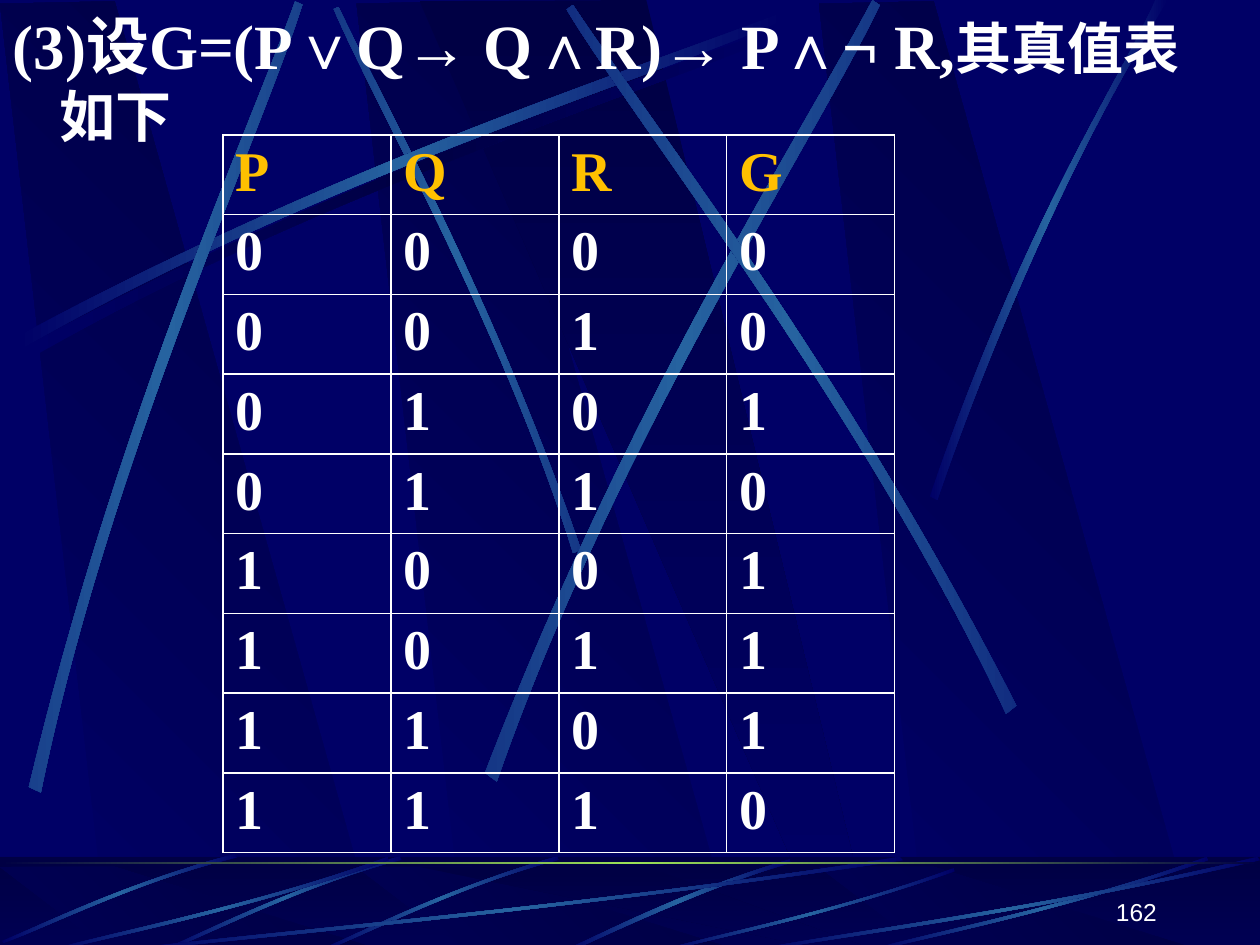
"""Build a slide with the truth table of a propositional formula."""
from copy import deepcopy
from itertools import chain
from lxml.etree import SubElement
from pptx import Presentation
from pptx.dml.color import RGBColor
from pptx.enum.shapes import MSO_SHAPE
from pptx.enum.text import MSO_ANCHOR, MSO_AUTO_SIZE, PP_ALIGN
from pptx.oxml.ns import qn
from pptx.util import Inches, Pt

COLORS = {
    "navy": "000066", "dark": "000044", "blue": "2663A0",
    "green": "9CE157", "gold": "FFC000", "white": "FFFFFF",
}
RGB = {name: RGBColor.from_string(value) for name, value in COLORS.items()}


def paint(shape, names, angle):
    """Give a shape an evenly spaced gradient that does not turn with it."""
    shape.fill.gradient()
    shape.fill.gradient_angle = (360 - angle) % 360
    gradient = shape._element.spPr.find(qn("a:gradFill"))
    gradient.set("rotWithShape", "0")
    stop_list = gradient.find(qn("a:gsLst"))
    for _ in names[2:]:
        stop_list.append(deepcopy(stop_list[-1]))
    for index, (stop, name) in enumerate(zip(shape.fill.gradient_stops, names)):
        stop.position = index / (len(names) - 1)
        stop.color.rgb = RGB[name]


def draw_outline(shapes, segments, box, flips):
    """Fit an outline of lines (one point) and curves (three points) to a box."""
    left, top, width, height = box
    outline = list(chain(*segments))
    right, bottom = (max(point[axis] for point in outline) for axis in (0, 1))
    points = []
    for x, y in outline:
        across = 1 - x / right if "h" in flips else x / right
        down = 1 - y / bottom if "v" in flips else y / bottom
        points.append((Inches(left + across * width), Inches(top + down * height)))
    builder = shapes.build_freeform(*points[0])
    builder.add_line_segments(points[1:], close=True)
    freeform = builder.convert_to_shape()
    geometry = freeform._element.spPr.find(".//" + qn("a:path"))
    lines = iter(geometry.findall(qn("a:lnTo")))
    for segment in segments[1:]:
        parts = [next(lines) for _ in segment]
        if len(parts) == 3:
            curve = geometry.makeelement(qn("a:cubicBezTo"))
            parts[0].addprevious(curve)
            for part in parts:
                curve.append(part[0])
                geometry.remove(part)
    return freeform


OUTLINES = {
    "panel": [[(0.86, 7.5)], [(3.02, 7.52)], [(0.91, 0)], [(0, 0.02)]],
    "wedge": [[(0, 0.01)], [(3.25, 7.51)], [(3.61, 7.51)], [(1.8, 0)]],
    "streak": [[(0, 2.57)], [(2.64, 1.15), (5.04, 0.41), (6.06, 0)], [(6.08, 0.06)],
               [(5.08, 0.51), (2.34, 1.33), (0.03, 2.67)]],
    "ray": [[(0, 3.94)], [(0.76, 1.73), (1.5, 0.66), (1.79, 0)], [(1.89, 0)],
            [(0.98, 1.45), (0.31, 3.22), (0.06, 3.97)]],
    "sliver": [[(1.79, 0)], [(0.89, 0.27), (0.29, 0.6), (0, 0.72)], [(0.05, 0.73)],
               [(0.42, 0.56), (1.23, 0.18), (1.8, 0.03)]],
}
PANEL = (("navy", "dark"), 315)
WEDGE = (("dark", "navy"), 90)
SHADE = (("navy", "dark", "navy"), 0)
GLOW = (("navy", "blue", "navy"), 0)
LIME = (("dark", "green", "dark"), 0)
DECORATIONS = [
    *[("panel", (left, 0.01, 3.02, 7.52), 0, "", PANEL) for left in (2.83, 0, 6.5)],
    ("wedge", (3.33, 0, 3.61, 7.51), 0, "", WEDGE),
    ("streak", (0.2, 0.18, 6.08, 2.67), 0, "", SHADE),
    ("streak", (1.41, 1.35, 4.42, 1.75), 45, "h", GLOW),
    ("streak", (0.14, 0.1, 6.08, 2.67), 0, "", GLOW),
    ("streak", (-1.71, 1.82, 6.08, 2.67), 311.7, "", GLOW),
    ("streak", (2.31, 1.6, 6.24, 3.01), 321.6, "", GLOW),
    ("streak", (3.23, 1.52, 6.08, 2.67), 34.7, "h", GLOW),
    ("ray", (7.38, 0, 1.89, 3.97), 0, "", GLOW),
    ("bar", (0, 6.8, 10, 0.75), 0, "", WEDGE),
    *[("panel", (left, 6.88, 3.02, 0.66), 0, "", PANEL) for left in (2.83, 0, 6.5)],
    ("wedge", (3.33, 6.88, 3.61, 0.66), 0, "", WEDGE),
    ("bar", (0, 6.8, 10, 0.75), 0, "", None),
    ("sliver", (4.48, 6.82, 1.8, 0.73), 0, "", GLOW),
    ("streak", (2.58, 6.76, 1.84, 0.83), 315, "h", GLOW),
    ("streak", (1.33, 6.76, 1.84, 0.83), 315, "h", GLOW),
    ("streak", (0.05, 6.71, 1.8, 0.85), 315, "h", GLOW),
    ("streak", (1, 6.8, 6.17, 0.75), 0, "hv", GLOW),
    ("streak", (0.42, 6.8, 2.67, 0.75), 0, "hv", GLOW),
    ("streak", (5.27, 6.89, 2.31, 0.66), 0, "hv", GLOW),
    ("streak", (6.92, 6.8, 2.67, 0.75), 0, "hv", GLOW),
    ("streak", (6, 6.8, 4, 0.75), 0, "hv", GLOW),
    ("bar", (0, 6.84, 10, 0.02), 0, "", LIME),
]

presentation = Presentation()
presentation.slide_width, presentation.slide_height = Inches(10), Inches(7.5)
slide = presentation.slides.add_slide(presentation.slide_layouts[1])
master = presentation.slide_master
master.background.fill.solid()
master.background.fill.fore_color.rgb = RGB["navy"]
master_tree = master.shapes._spTree
title = slide.shapes.title
title._element.getparent().remove(title._element)

for number, (kind, box, rotation, flips, gradient) in enumerate(DECORATIONS, 101):
    if kind == "bar":
        shape = slide.shapes.add_shape(MSO_SHAPE.RECTANGLE, *map(Inches, box))
    else:
        shape = draw_outline(slide.shapes, OUTLINES[kind], box, flips)
        shape.rotation = rotation
    shape.shadow.inherit = False
    shape.line.fill.background()
    if gradient:
        paint(shape, *gradient)
    else:
        shape.fill.solid()
        shape.fill.fore_color.rgb = RGB["dark"]
        SubElement(shape._element.spPr.find(".//" + qn("a:srgbClr")), qn("a:alpha"), val="50000")
    shape._element.nvSpPr.cNvPr.set("id", str(number))
    master_tree.append(shape._element)

statement = slide.placeholders[1]
statement.left, statement.top = Inches(0), Inches(0)
statement.width, statement.height = Inches(9.83), Inches(7.5)
frame = statement.text_frame
frame.auto_size = MSO_AUTO_SIZE.NONE
paragraph = frame.paragraphs[0]
properties = paragraph._p.get_or_add_pPr()
properties.set("marL", str(Pt(27)))
properties.set("indent", str(-Pt(27)))
SubElement(properties, qn("a:buNone"))
paragraph.space_before = Pt(0)
for text, size in (("(3)设G=(P∨Q→ Q∧R)→ P∧¬ R,", 36), ("其真值表如下", 32)):
    run = paragraph.add_run()
    run.text = text
    run.font.name, run.font.size, run.font.bold = "Times New Roman", Pt(size), True
    run.font.color.rgb = RGB["white"]

truth_rows = ["PQRG", "0000", "0010", "0101", "0110", "1001", "1011", "1101", "1110"]
table = slide.shapes.add_table(
    len(truth_rows), 4, Inches(1.77), Inches(1.07), Inches(5.33), Inches(5.7)).table
table.first_row = table.horz_banding = False
for row_index, values in enumerate(truth_rows):
    for column_index, value in enumerate(values):
        cell = table.cell(row_index, column_index)
        cell_properties = cell._tc.get_or_add_tcPr()
        for side in ("lnL", "lnR", "lnT", "lnB"):
            border = SubElement(cell_properties, qn("a:" + side), w=str(Pt(1)))
            border_fill = SubElement(border, qn("a:solidFill"))
            SubElement(border_fill, qn("a:srgbClr"), val=COLORS["white"])
        cell.fill.background()
        run = cell.text_frame.paragraphs[0].add_run()
        run.text = value
        run.font.name, run.font.size, run.font.bold = "Times New Roman", Pt(32), True
        run.font.color.rgb = RGB["white" if row_index else "gold"]

page_number = slide.shapes.add_textbox(Inches(7.2), Inches(6.9), Inches(2.08), Inches(0.5))
page_number.text_frame.word_wrap = True
page_number.text_frame.vertical_anchor = MSO_ANCHOR.BOTTOM
paragraph = page_number.text_frame.paragraphs[0]
paragraph.alignment = PP_ALIGN.RIGHT
run = paragraph.add_run()
run.text = "162"
run.font.name, run.font.size = "Arial", Pt(14)
run.font.color.rgb = RGB["white"]

presentation.save("out.pptx")
